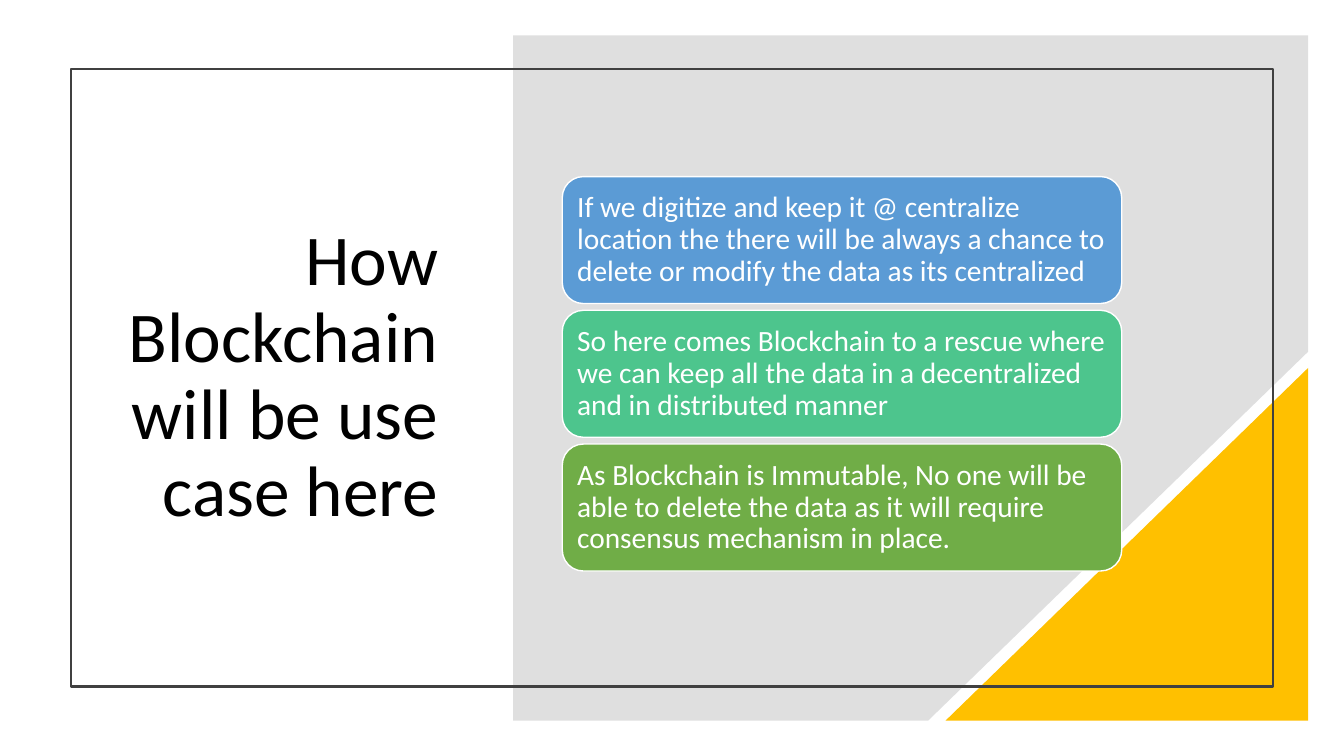
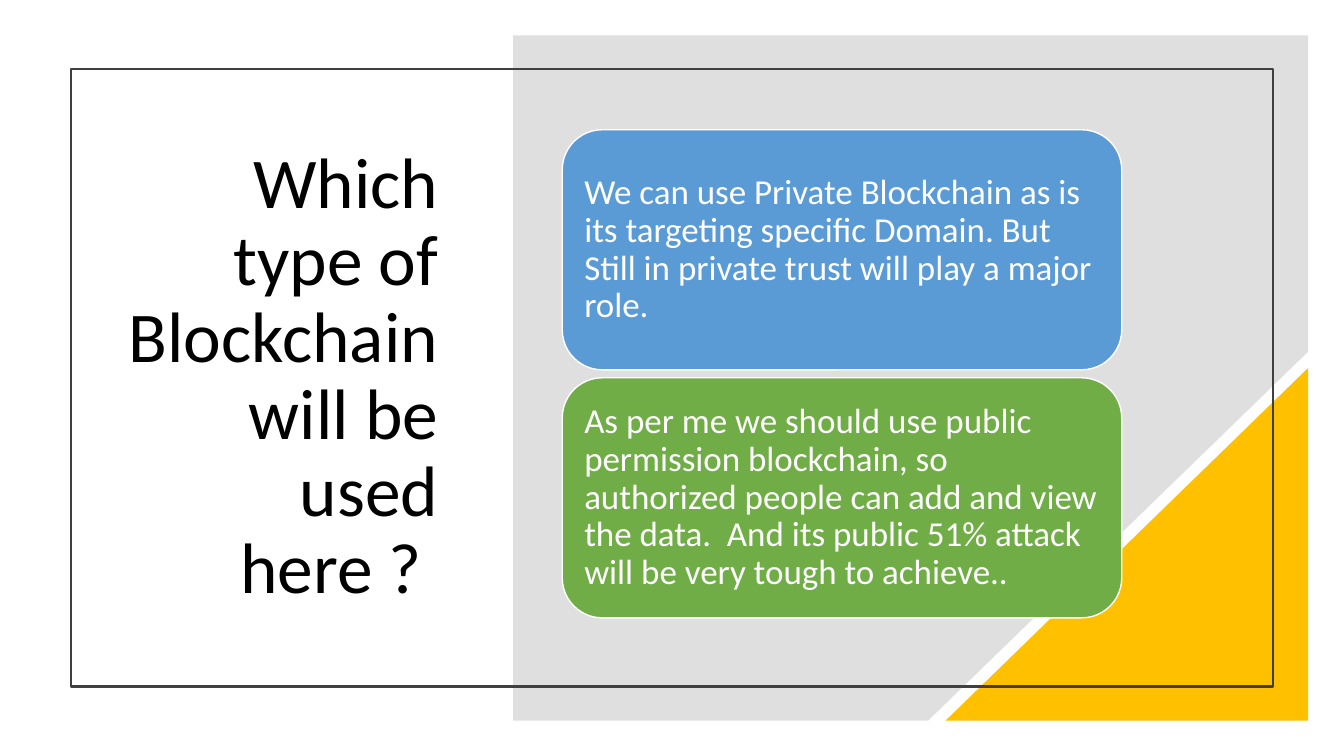
from dataclasses import dataclass

from lxml import etree
from pptx import Presentation
from pptx.dml.color import RGBColor
from pptx.enum.shapes import MSO_SHAPE
from pptx.enum.text import MSO_ANCHOR, MSO_AUTO_SIZE, PP_ALIGN
from pptx.oxml.ns import qn
from pptx.util import Cm, Pt

RECTANGLE = MSO_SHAPE.RECTANGLE
ROUNDED = MSO_SHAPE.ROUNDED_RECTANGLE
RIGHT_TRIANGLE = MSO_SHAPE.RIGHT_TRIANGLE
LEFT, RIGHT = PP_ALIGN.LEFT, PP_ALIGN.RIGHT
MIDDLE = MSO_ANCHOR.MIDDLE
NO_AUTOFIT = MSO_AUTO_SIZE.NONE
TITLE_ONLY = 5


@dataclass(frozen=True)
class Theme:
    """Colours, font and type sizes of the presentation."""
    font: str = "Calibri"
    black: str = "000000"
    white: str = "FFFFFF"
    gray: str = "808080"
    frame: str = "404040"
    gold: str = "FFC000"
    blue: str = "5B9BD5"
    teal: str = "4DC58D"
    green: str = "70AD47"
    title_size: int = 51
    large_size: int = 25
    medium_size: int = 21


THEME = Theme()

SLIDES = [
    {
        "title": "How Blockchain will be use case here",
        "size": THEME.medium_size, "height": 3.2, "gap": 0.17, "inset": 0.22,
        "cards": [
            ("If we digitize and keep it @ centralize location the there will be "
             "always a chance to delete or modify the data as its centralized", THEME.blue),
            ("So here comes Blockchain to a rescue where we can keep all the data "
             "in a decentralized and in distributed manner", THEME.teal),
            ("As Blockchain is Immutable, No one will be able to delete the data "
             "as it will require consensus mechanism in place.", THEME.green),
        ],
    },
    {
        "title": "Which type of Blockchain will be used here ? ",
        "size": THEME.large_size, "height": 6.05, "gap": 0.2, "inset": 0.26,
        "cards": [
            ("We can use Private Blockchain as is its targeting specific Domain. "
             "But Still in private trust will play a major role.", THEME.blue),
            ("As per me we should use public permission blockchain, so authorized "
             "people can add and view the data.  And its public 51% attack will be "
             "very tough to achieve..", THEME.green),
        ],
    },
]


def write_text(frame, text, *, size, color, align=LEFT, inset=None):
    """Fill a text frame with one formatted paragraph."""
    frame.word_wrap = True
    frame.auto_size = NO_AUTOFIT
    frame.vertical_anchor = MIDDLE
    if inset is not None:
        frame.margin_left = frame.margin_right = Cm(inset)
        frame.margin_top = frame.margin_bottom = Cm(inset)
    paragraph = frame.paragraphs[0]
    paragraph.alignment = align
    paragraph.line_spacing = 0.9
    run = paragraph.add_run()
    run.text = text
    run.font.name = THEME.font
    run.font.size = Pt(size)
    run.font.color.rgb = RGBColor.from_string(color)


class Deck:
    """Holds the theme, the presentation and the current slide."""

    def __init__(self, theme):
        """Start an empty widescreen presentation."""
        self.theme = theme
        self.presentation = Presentation()
        self.presentation.slide_width = Cm(33.87)
        self.presentation.slide_height = Cm(19.05)
        self.slide = None

    def add_slide(self, title):
        """Add a slide with its title and the shared decoration."""
        layout = self.presentation.slide_layouts[TITLE_ONLY]
        self.slide = self.presentation.slides.add_slide(layout)
        self.title(title)
        self.backdrop()
        corner = self.shape(RIGHT_TRIANGLE, 23.83, 9.27, 9.14, 8.89, fill=self.theme.gold)
        corner.element.spPr.find(qn("a:xfrm")).set("flipH", "1")
        self.shape(RECTANGLE, 1.78, 1.73, 30.3, 15.57, line=self.theme.frame, line_width=1.5)

    def title(self, text):
        """Place the title at the left, aligned right."""
        title = self.slide.shapes.title
        title.left, title.top, title.width, title.height = Cm(2.79), Cm(3.3), Cm(8.51), Cm(12.45)
        write_text(title.text_frame, text, size=self.theme.title_size,
                   color=self.theme.black, align=RIGHT)

    def backdrop(self):
        """Draw the translucent panel with its cut corner."""
        points = [(12.93, 0.89), (32.97, 0.89), (32.97, 8.86), (23.39, 18.16), (12.93, 18.16)]
        start, *others = [(Cm(x), Cm(y)) for x, y in points]
        builder = self.slide.shapes.build_freeform(*start)
        builder.add_line_segments(others, close=True)
        panel = self.paint(builder.convert_to_shape(), fill=self.theme.gray)
        color = panel.element.spPr.find(qn("a:solidFill"))[0]
        etree.SubElement(color, qn("a:alpha"), val="25000")

    def paint(self, shape, fill=None, line=None, line_width=1):
        """Set the fill and outline of a shape without a shadow."""
        shape.shadow.inherit = False
        if fill:
            shape.fill.solid()
            shape.fill.fore_color.rgb = RGBColor.from_string(fill)
        else:
            shape.fill.background()
        if line:
            shape.line.color.rgb = RGBColor.from_string(line)
            shape.line.width = Pt(line_width)
        else:
            shape.line.fill.background()
        return shape

    def shape(self, kind, left, top, width, height, **style):
        """Add a painted preset shape, measured in centimetres."""
        shape = self.slide.shapes.add_shape(kind, Cm(left), Cm(top), Cm(width), Cm(height))
        return self.paint(shape, **style)

    def card_stack(self, cards, *, size, height, gap, inset):
        """Stack rounded text cards around a common middle."""
        middle = 9.42
        pitch = height + gap
        top = middle - (len(cards) * pitch - gap) / 2
        for index, (text, fill) in enumerate(cards):
            card = self.shape(ROUNDED, 14.17, top + index * pitch, 14.1, height,
                              fill=fill, line=self.theme.white)
            write_text(card.text_frame, text, size=size, color=self.theme.white, inset=inset)


def main():
    """Build and save the presentation."""
    deck = Deck(THEME)
    for content in SLIDES:
        deck.add_slide(content["title"])
        deck.card_stack(content["cards"], size=content["size"], height=content["height"],
                        gap=content["gap"], inset=content["inset"])
    deck.presentation.save("out.pptx")


if __name__ == "__main__":
    main()
